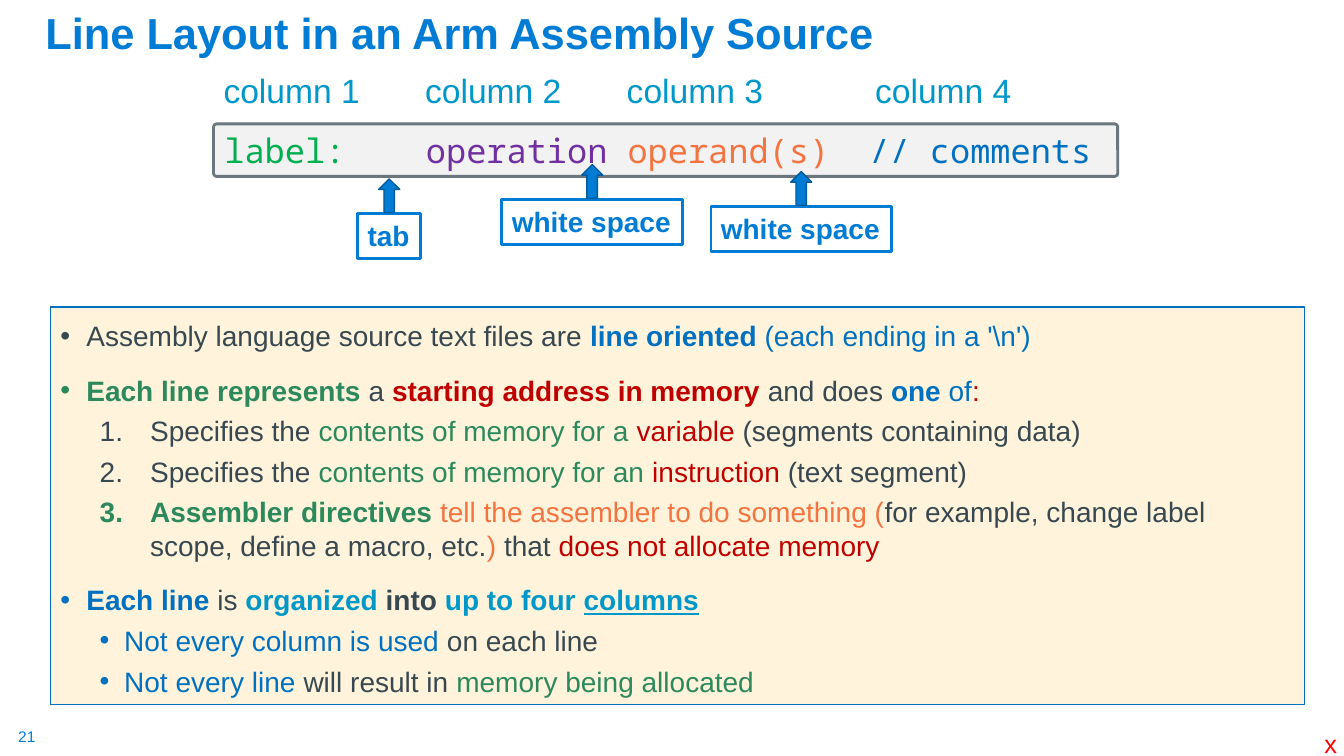
from lxml import etree
from pptx import Presentation
from pptx.dml.color import RGBColor
from pptx.enum import shapes, text
from pptx.oxml import ns
from pptx.util import Pt

COLORS = {
    "blue": "007CD5", "edge": "005C9E", "royal": "0070C0", "cyan": "0098C9",
    "dark": "384851", "green": "2C895B", "crimson": "C00000", "orange": "F37440",
    "lime": "00B050", "purple": "7030A0", "red": "FF0000", "gray": "6B767D",
    "cream": "FFF4DB", "pale": "F2F2F2",
}


class SlideBuilder:
    """Holds the style and the current slide."""
    font = "Arial"
    code_font = "Noto Sans Mono"
    body_size = 20

    def __init__(self, slide):
        self.slide = slide

    def place(self, shape, box):
        shape.left, shape.top, shape.width, shape.height = map(Pt, box)

    def paint(self, shape, fill=None, line=None, width=1):
        if fill:
            shape.fill.solid()
            shape.fill.fore_color.rgb = RGBColor.from_string(COLORS[fill])
        else:
            shape.fill.background()
        shape.line.color.rgb = RGBColor.from_string(COLORS[line])
        shape.line.width = Pt(width)

    def frame(self, shape, wrap=True, anchor=text.MSO_ANCHOR.TOP):
        frame = shape.text_frame
        frame.word_wrap = wrap
        frame.auto_size = text.MSO_AUTO_SIZE.NONE
        frame.vertical_anchor = anchor
        return frame

    def add_runs(self, paragraph, runs, size, font=None):
        """Each run is (wording, colour, marks); marks may hold b and u."""
        paragraph.alignment = text.PP_ALIGN.LEFT
        for wording, color, marks in runs:
            run = paragraph.add_run()
            run.text = wording
            run.font.name = font or self.font
            run.font.size = Pt(size)
            run.font.color.rgb = RGBColor.from_string(COLORS[color])
            run.font.bold = "b" in marks
            run.font.underline = "u" in marks

    def tabs(self, paragraph, stops):
        tab_list = etree.SubElement(paragraph._p.get_or_add_pPr(), ns.qn("a:tabLst"))
        for stop in stops:
            etree.SubElement(tab_list, ns.qn("a:tab"), pos=str(Pt(stop)), algn="l")

    def title(self, box, wording):
        shape = self.slide.shapes.title
        self.place(shape, box)
        paragraph = self.frame(shape, anchor=text.MSO_ANCHOR.BOTTOM).paragraphs[0]
        paragraph.line_spacing = 0.9
        self.add_runs(paragraph, [(wording, "blue", "b")], 31)

    def body(self, box, items):
        shape = self.slide.placeholders[1]
        self.place(shape, box)
        self.paint(shape, "cream", "royal", 0.75)
        frame = self.frame(shape)
        for index, (kind, runs) in enumerate(items):
            paragraph = frame.paragraphs[0] if index == 0 else frame.add_paragraph()
            self.bullet(paragraph, kind)
            paragraph.line_spacing = 1.2 if kind == "main" else 1.0
            paragraph.space_before = Pt(0 if index == 0 else 10 if kind == "main" else 5)
            self.add_runs(paragraph, runs, self.body_size)

    def bullet(self, paragraph, kind):
        margin, hanging = {"main": (18.5, 18.5), "number": (64, 36), "sub": (45.5, 17.5)}[kind]
        paragraph.level = 0 if kind == "main" else 1
        properties = paragraph._p.get_or_add_pPr()
        properties.set("marL", str(Pt(margin)))
        properties.set("indent", str(Pt(-hanging)))
        if kind == "number":
            etree.SubElement(properties, ns.qn("a:buFont"), typeface="+mj-lt")
            etree.SubElement(properties, ns.qn("a:buAutoNum"), type="arabicPeriod")
        else:
            etree.SubElement(properties, ns.qn("a:buFont"), typeface=self.font)
            etree.SubElement(properties, ns.qn("a:buChar"), char="•")

    def label(self, box, wording, color, size, stops=(), inset=None):
        shape = self.slide.shapes.add_textbox(*map(Pt, box))
        frame = self.frame(shape, wrap=bool(stops))
        if inset is not None:
            frame.margin_left = frame.margin_right = Pt(inset)
            frame.margin_top = frame.margin_bottom = Pt(inset)
        if stops:
            self.tabs(frame.paragraphs[0], stops)
        self.add_runs(frame.paragraphs[0], [(wording, color, "")], size)

    def code_bar(self, box, runs, stops):
        shape = self.slide.shapes.add_shape(
            shapes.MSO_SHAPE.ROUNDED_RECTANGLE, *map(Pt, box))
        shape.adjustments[0] = 0.057
        shape.shadow.inherit = False
        self.paint(shape, "pale", "gray", 2)
        paragraph = self.frame(shape).paragraphs[0]
        self.tabs(paragraph, stops)
        self.add_runs(paragraph, runs, 24, self.code_font)

    def callout(self, left, top, width, wording):
        """A framed label with an arrow rising from its middle."""
        group = self.slide.shapes.add_group_shape()
        arrow_width, arrow_height = 15, 24
        frame_box = (left, top, width, 32)
        arrow_box = (left + (width - arrow_width) / 2, top - arrow_height - 1,
                     arrow_width, arrow_height)
        label = group.shapes.add_shape(shapes.MSO_SHAPE.RECTANGLE, *map(Pt, frame_box))
        arrow = group.shapes.add_shape(shapes.MSO_SHAPE.UP_ARROW, *map(Pt, arrow_box))
        label.shadow.inherit = arrow.shadow.inherit = False
        self.paint(label, None, "blue", 2)
        self.paint(arrow, "blue", "edge", 1)
        paragraph = self.frame(label, wrap=False).paragraphs[0]
        self.add_runs(paragraph, [(wording, "blue", "b")], self.body_size)


BODY = [
    ("main", [("Assembly language source text files are ", "dark", ""),
              ("line oriented", "royal", "b"),
              (" (each ending in a '\\n')", "royal", "")]),
    ("main", [("Each line represents ", "green", "b"), ("a ", "dark", ""),
              ("starting address in memory ", "crimson", "b"),
              ("and does ", "dark", ""), ("one", "royal", "b"),
              (" of", "royal", ""), (":", "crimson", "")]),
    ("number", [("Specifies the ", "dark", ""),
                ("contents of memory for a ", "green", ""),
                ("variable ", "crimson", ""),
                ("(segments containing data)", "dark", "")]),
    ("number", [("Specifies the ", "dark", ""),
                ("contents of memory for an ", "green", ""),
                ("instruction ", "crimson", ""), ("(text segment)", "dark", "")]),
    ("number", [("Assembler directives ", "green", "b"),
                ("tell the assembler to do something (", "orange", ""),
                ("for example, change label scope, define a macro, etc.", "dark", ""),
                (") ", "orange", ""), ("that ", "dark", ""),
                ("does not allocate memory", "crimson", "")]),
    ("main", [("Each line ", "royal", "b"), ("is ", "dark", ""),
              ("organized ", "cyan", "b"), ("into", "dark", "b"),
              (" up to four ", "cyan", "b"), ("columns", "cyan", "bu")]),
    ("sub", [("Not every column is used ", "royal", ""), ("on each line", "dark", "")]),
    ("sub", [("Not every line ", "royal", ""), ("will result in ", "dark", ""),
             ("memory being allocated", "green", "")]),
]
CODE = [("label:\t", "lime", ""), ("operation ", "purple", ""),
        ("operand(s)\t", "orange", ""), ("// comments", "royal", "")]
CALLOUTS = [(255.5, 152.8, 45, "tab"), (358.5, 142.6, 129, "white space"),
            (507.8, 147.6, 129, "white space")]


def main():
    presentation = Presentation()
    presentation.slide_width, presentation.slide_height = Pt(960), Pt(540)
    builder = SlideBuilder(presentation.slides.add_slide(presentation.slide_layouts[1]))

    # Title and explanation
    builder.title((25.2, 11.5, 918, 34.5), "Line Layout in an Arm Assembly Source")
    builder.body((36, 219.3, 895.7, 284), BODY)

    # Source line with its column headings
    builder.code_bar((152.6, 88.5, 645.8, 37.5), CODE, (144, 460.8))
    builder.label((152.6, 46.1, 620, 36), "column 1\tcolumn 2\tcolumn 3\tcolumn 4",
                  "cyan", 24, (144, 288, 465.4))

    # Separators between the columns
    for callout in CALLOUTS:
        builder.callout(*callout)

    # Slide number and corner mark
    builder.label((13, 519.1, 13.7, 13.7), "21", "blue", 11, inset=0)
    builder.label((938.9, 517, 23.8, 28.8), "x", "red", 18)

    presentation.save("out.pptx")


if __name__ == "__main__":
    main()
